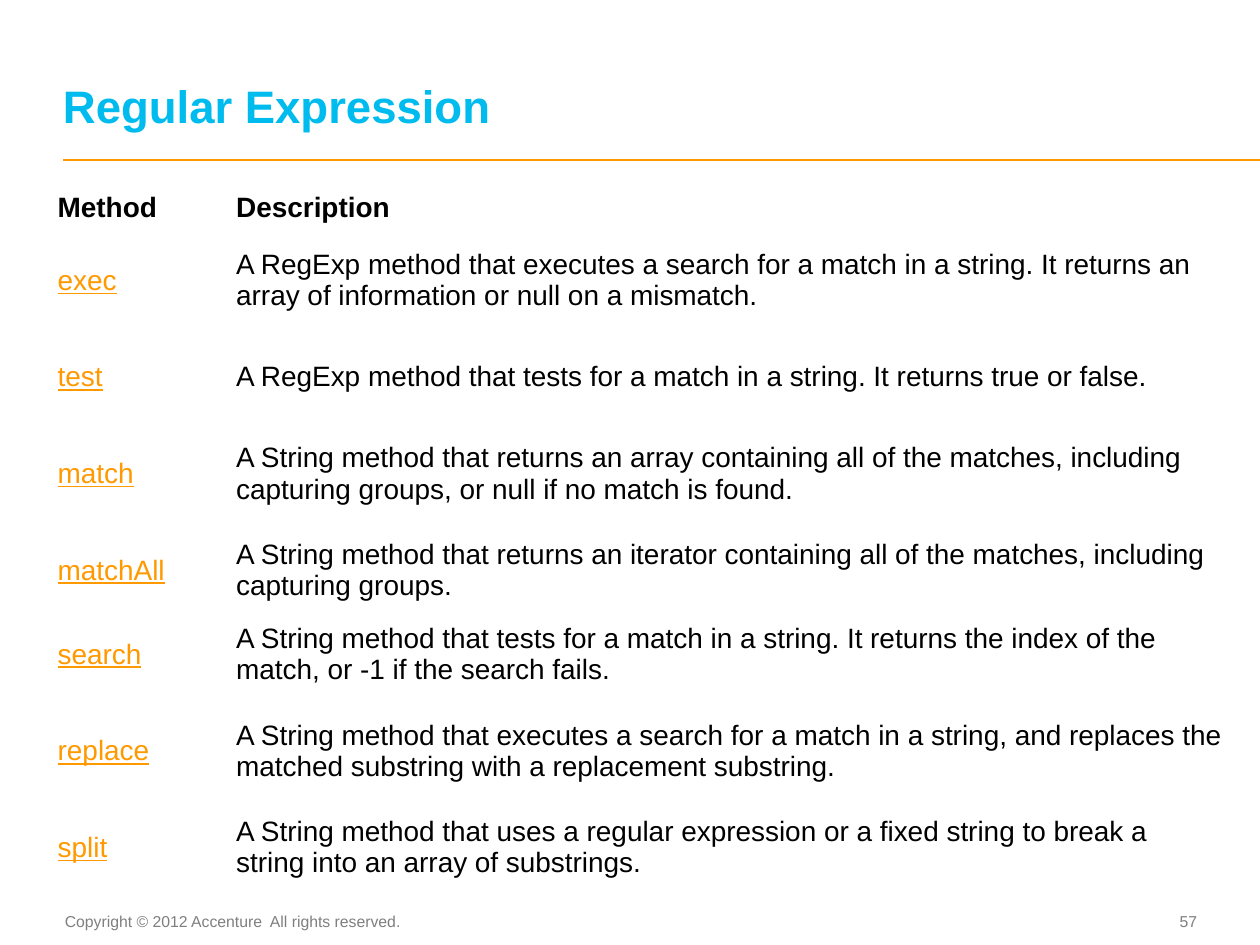
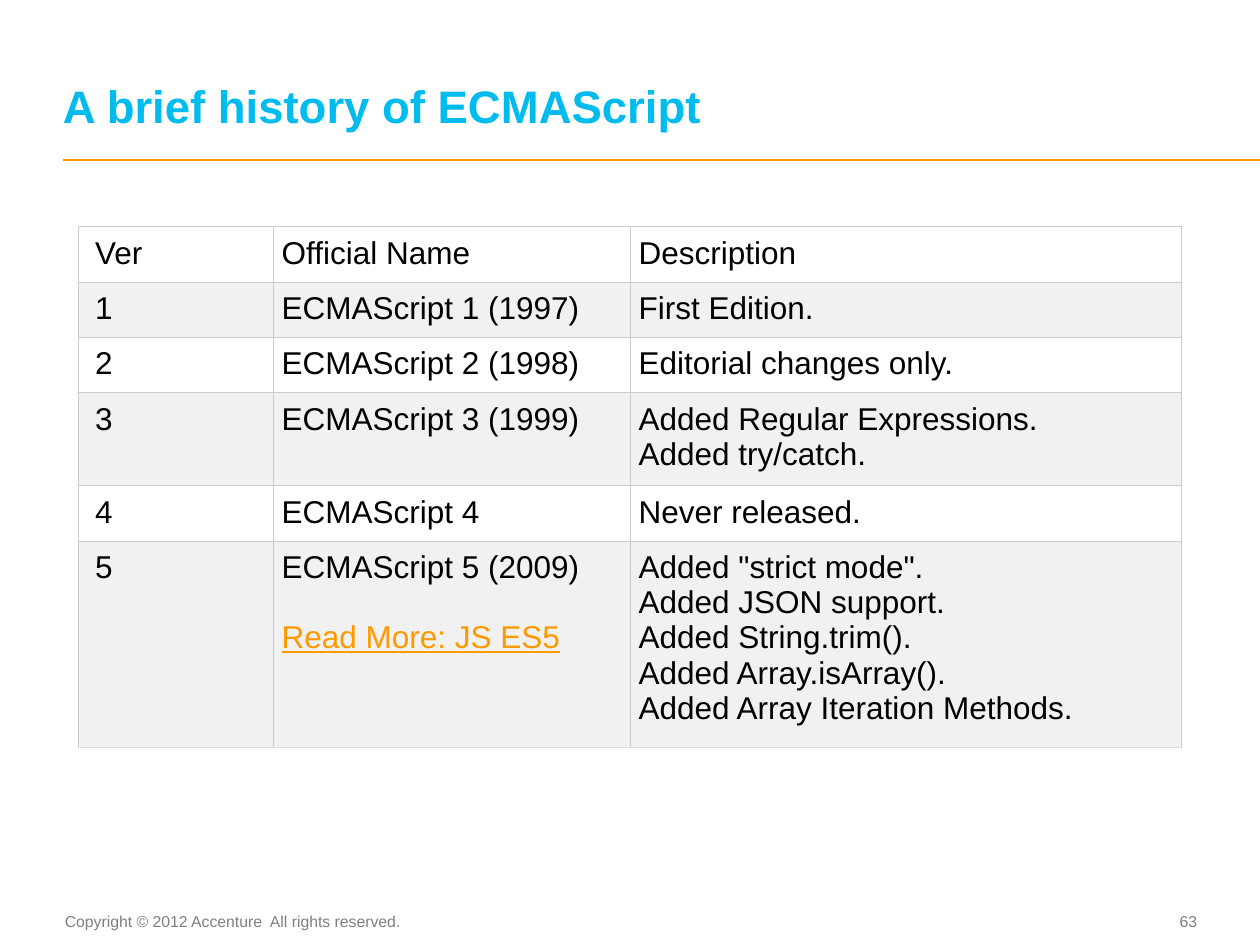
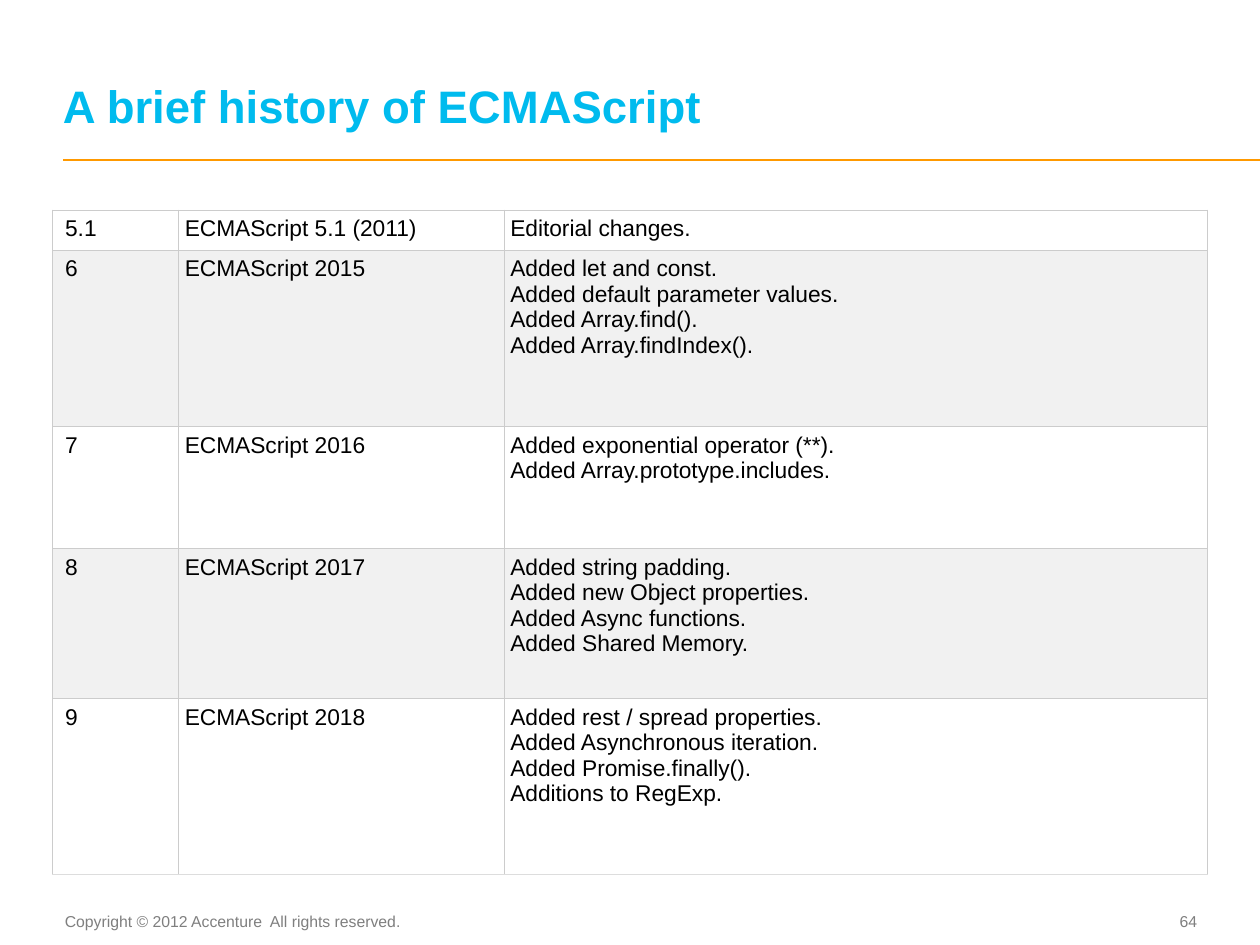
"""Build three slides on regular expression methods and ECMAScript history."""

from dataclasses import dataclass
from typing import NamedTuple

from lxml.etree import SubElement
from pptx import Presentation
from pptx.dml.color import RGBColor
from pptx.enum.shapes import MSO_CONNECTOR
from pptx.enum.text import MSO_ANCHOR, PP_ALIGN
from pptx.oxml.ns import qn
from pptx.util import Inches, Pt

SLIDE_WIDTH, SLIDE_HEIGHT = Inches(10), Inches(7.5)
GRID_COLUMNS, GRID_ROWS = 120, 90


@dataclass(frozen=True)
class Theme:
    """Colours, font and type sizes of the deck."""

    font: str = "Arial"
    ink: str = "000000"
    title: str = "00BBEE"
    accent: str = "FF9900"
    muted: str = "7F7F7F"
    white: str = "FFFFFF"
    band: str = "F1F1F1"
    edge: str = "CCCCCC"
    last_edge: str = "DDDDDD"
    title_size: int = 26
    footer_size: int = 9


THEME = Theme()


class Area(NamedTuple):
    """Place of an object in grid columns and rows."""

    left: float
    top: float
    width: float
    height: float


class Insets(NamedTuple):
    """Inner margins in points."""

    left: float = 0
    top: float = 0
    right: float = 0
    bottom: float = 0


class Entry(NamedTuple):
    """Text of a table cell, with an optional link line below it."""

    text: str
    bold: bool = False
    linked: bool = False
    more: str = ""


@dataclass(frozen=True)
class TableSpec:
    """Layout, style and entries of a table."""

    left: float
    top: float
    columns: tuple[float, ...]
    heights: tuple[float, ...]
    rows: tuple[tuple[Entry, ...], ...]
    size: int
    insets: Insets
    first_inset: float
    edge: str = THEME.edge
    last_edge: str = THEME.last_edge
    edge_width: float = 0.6
    banded: bool = True
    anchor: MSO_ANCHOR = MSO_ANCHOR.TOP


@dataclass(frozen=True)
class Page:
    """Title, number and table of a slide."""

    title: str
    number: int
    table: TableSpec


TITLE_AREA = Area(6, 2.28, 107.64, 10.32)
FOOTER_AREA = Area(5.88, 86.28, 33.72, 3)
NUMBER_AREA = Area(106.92, 86.16, 7.08, 3.24)
RULE_LEFT, RULE_TOP = 6, 15.24
COPYRIGHT = "Copyright © 2012 Accenture  All rights reserved."

METHODS = {
    "exec": "A RegExp method that executes a search for a match in a string. "
            "It returns an array of information or null on a mismatch.",
    "test": "A RegExp method that tests for a match in a string. It returns true or false.",
    "match": "A String method that returns an array containing all of the matches, "
             "including capturing groups, or null if no match is found.",
    "matchAll": "A String method that returns an iterator containing all of the matches, "
                "including capturing groups.",
    "search": "A String method that tests for a match in a string. "
              "It returns the index of the match, or -1 if the search fails.",
    "replace": "A String method that executes a search for a match in a string, "
               "and replaces the matched substring with a replacement substring.",
    "split": "A String method that uses a regular expression or a fixed string "
             "to break a string into an array of substrings.",
}


def entries(*texts: str) -> tuple[Entry, ...]:
    """Return a row of plain entries."""
    return tuple(Entry(text) for text in texts)


METHOD_TABLE = TableSpec(
    left=5, top=18, columns=(17, 95), heights=(3, 10.4, 8, 10.4, 8, 8, 10.4, 8),
    rows=(
        (Entry("Method", bold=True), Entry("Description", bold=True)),
        *((Entry(name, linked=True), Entry(text)) for name, text in METHODS.items()),
    ),
    size=16, insets=Insets(3, 2, 3, 2), first_inset=3,
    edge=THEME.white, last_edge=THEME.white, edge_width=1.2,
    banded=False, anchor=MSO_ANCHOR.MIDDLE,
)

EARLY_TABLE = TableSpec(
    left=7.5, top=21.6, columns=(18.5, 34, 52.5),
    heights=tuple(1.56 + 3.36 * lines for lines in (1, 1, 1, 2, 1, 5)),
    rows=(
        entries("Ver", "Official Name", "Description"),
        entries("1", "ECMAScript 1 (1997)", "First Edition."),
        entries("2", "ECMAScript 2 (1998)", "Editorial changes only."),
        entries("3", "ECMAScript 3 (1999)", "Added Regular Expressions.\nAdded try/catch."),
        entries("4", "ECMAScript 4", "Never released."),
        (
            Entry("5"),
            Entry("ECMAScript 5 (2009)", more="Read More: JS ES5"),
            Entry('Added "strict mode".\nAdded JSON support.\nAdded String.trim().\n'
                  "Added Array.isArray().\nAdded Array Iteration Methods."),
        ),
    ),
    size=18, insets=Insets(5, 5, 5, 5), first_inset=9.4,
)

LATE_TABLE = TableSpec(
    left=5, top=20, columns=(12, 31, 67), heights=(3.72, 16.8, 11.64, 14.28, 16.8),
    rows=(
        entries("5.1", "ECMAScript 5.1 (2011)", "Editorial changes."),
        entries("6", "ECMAScript 2015",
                "Added let and const.\nAdded default parameter values.\n"
                "Added Array.find().\nAdded Array.findIndex()."),
        entries("7", "ECMAScript 2016",
                "Added exponential operator (**).\nAdded Array.prototype.includes."),
        entries("8", "ECMAScript 2017",
                "Added string padding.\nAdded new Object properties.\n"
                "Added Async functions.\nAdded Shared Memory."),
        entries("9", "ECMAScript 2018",
                "Added rest / spread properties.\nAdded Asynchronous iteration.\n"
                "Added Promise.finally().\nAdditions to RegExp."),
    ),
    size=13, insets=Insets(3.6, 3.6, 3.6, 3.6), first_inset=7.2,
)

PAGES = (
    Page("Regular Expression", 57, METHOD_TABLE),
    Page("A brief history of ECMAScript", 63, EARLY_TABLE),
    Page("A brief history of ECMAScript", 64, LATE_TABLE),
)


def across(columns: float) -> int:
    """Convert grid columns to a length."""
    return round(SLIDE_WIDTH * columns / GRID_COLUMNS)


def down(rows: float) -> int:
    """Convert grid rows to a length."""
    return round(SLIDE_HEIGHT * rows / GRID_ROWS)


def write(frame, text: str, *, size: float, color: str = THEME.ink, bold: bool = False,
          underline: bool = False, align: PP_ALIGN = PP_ALIGN.LEFT,
          leading: float | None = None, gap: float = 0) -> None:
    """Add a formatted paragraph to a text frame."""
    para = frame.add_paragraph() if frame.text else frame.paragraphs[0]
    para.alignment = align
    if leading:
        para.line_spacing = Pt(leading)
    if gap:
        para.space_before = Pt(gap)
    for index, line in enumerate(text.split("\n")):
        if index:
            para.add_line_break()
        span = para.add_run()
        span.text = line
        span.font.name = THEME.font
        span.font.size = Pt(size)
        span.font.bold = bold
        span.font.underline = underline
        span.font.color.rgb = RGBColor.from_string(color)


def set_insets(holder, insets: Insets) -> None:
    """Set the inner margins of a text frame or cell."""
    holder.margin_left, holder.margin_top = Pt(insets.left), Pt(insets.top)
    holder.margin_right, holder.margin_bottom = Pt(insets.right), Pt(insets.bottom)


def add_text(slide, area: Area, text: str, *, insets: Insets = Insets(),
             anchor: MSO_ANCHOR = MSO_ANCHOR.TOP, **style) -> None:
    """Add a text box with one paragraph."""
    box = slide.shapes.add_textbox(
        across(area.left), down(area.top), across(area.width), down(area.height))
    frame = box.text_frame
    frame.word_wrap = True
    frame.vertical_anchor = anchor
    set_insets(frame, insets)
    write(frame, text, **style)


def add_rule(slide) -> None:
    """Draw the line below the title out to the slide's right edge."""
    rule = slide.shapes.add_connector(
        MSO_CONNECTOR.STRAIGHT, across(RULE_LEFT), down(RULE_TOP), SLIDE_WIDTH, down(RULE_TOP))
    rule.line.color.rgb = RGBColor.from_string(THEME.accent)
    rule.line.width = Pt(1)
    SubElement(rule.element.spPr, qn("a:effectLst"))


def set_borders(cell, color: str, bottom: str, width: float) -> None:
    """Draw the four borders of a table cell."""
    properties = cell._tc.get_or_add_tcPr()
    for side in "LRTB":
        line = SubElement(properties, qn(f"a:ln{side}"), w=str(Pt(width)))
        fill = SubElement(line, qn("a:solidFill"))
        SubElement(fill, qn("a:srgbClr"), val=bottom if side == "B" else color)


def fill_cell(cell, entry: Entry, spec: TableSpec, row: int, column: int) -> None:
    """Style a table cell and write its entry."""
    last = row == len(spec.rows) - 1
    set_borders(cell, spec.edge, spec.last_edge if last else spec.edge, spec.edge_width)
    if spec.banded:
        cell.fill.solid()
        cell.fill.fore_color.rgb = RGBColor.from_string(THEME.band if row % 2 else THEME.white)
    else:
        cell.fill.background()
    insets = spec.insets if column else spec.insets._replace(left=spec.first_inset)
    set_insets(cell, insets._replace(top=1, bottom=1) if entry.bold else insets)
    cell.vertical_anchor = spec.anchor
    write(cell.text_frame, entry.text, size=spec.size, bold=entry.bold,
          color=THEME.accent if entry.linked else THEME.ink, underline=entry.linked)
    if entry.more:
        write(cell.text_frame, entry.more, size=spec.size, color=THEME.accent,
              underline=True, gap=20)


def add_table(slide, spec: TableSpec) -> None:
    """Add a table with its column widths, row heights and entries."""
    table = slide.shapes.add_table(
        len(spec.rows), len(spec.columns), across(spec.left), down(spec.top),
        across(sum(spec.columns)), down(sum(spec.heights))).table
    table.first_row = table.horz_banding = False
    for column, width in zip(table.columns, spec.columns):
        column.width = across(width)
    for row, height in zip(table.rows, spec.heights):
        row.height = down(height)
    for row, line in enumerate(spec.rows):
        for column, entry in enumerate(line):
            fill_cell(table.cell(row, column), entry, spec, row, column)


def add_page(deck, page: Page) -> None:
    """Add a slide with the shared frame and its table."""
    slide = deck.slides.add_slide(deck.slide_layouts[6])
    footer = {"size": THEME.footer_size, "color": THEME.muted}
    add_rule(slide)
    add_text(slide, FOOTER_AREA, COPYRIGHT, insets=Insets(0, 3.6, 7.2, 3.6),
             align=PP_ALIGN.CENTER, **footer)
    add_text(slide, NUMBER_AREA, str(page.number), anchor=MSO_ANCHOR.MIDDLE,
             align=PP_ALIGN.RIGHT, **footer)
    add_text(slide, TITLE_AREA, page.title, anchor=MSO_ANCHOR.BOTTOM, bold=True,
             size=THEME.title_size, color=THEME.title, leading=THEME.title_size)
    add_table(slide, page.table)


def main() -> None:
    """Build and save the deck."""
    deck = Presentation()
    deck.slide_width, deck.slide_height = SLIDE_WIDTH, SLIDE_HEIGHT
    for page in PAGES:
        add_page(deck, page)
    deck.save("out.pptx")


if __name__ == "__main__":
    main()
